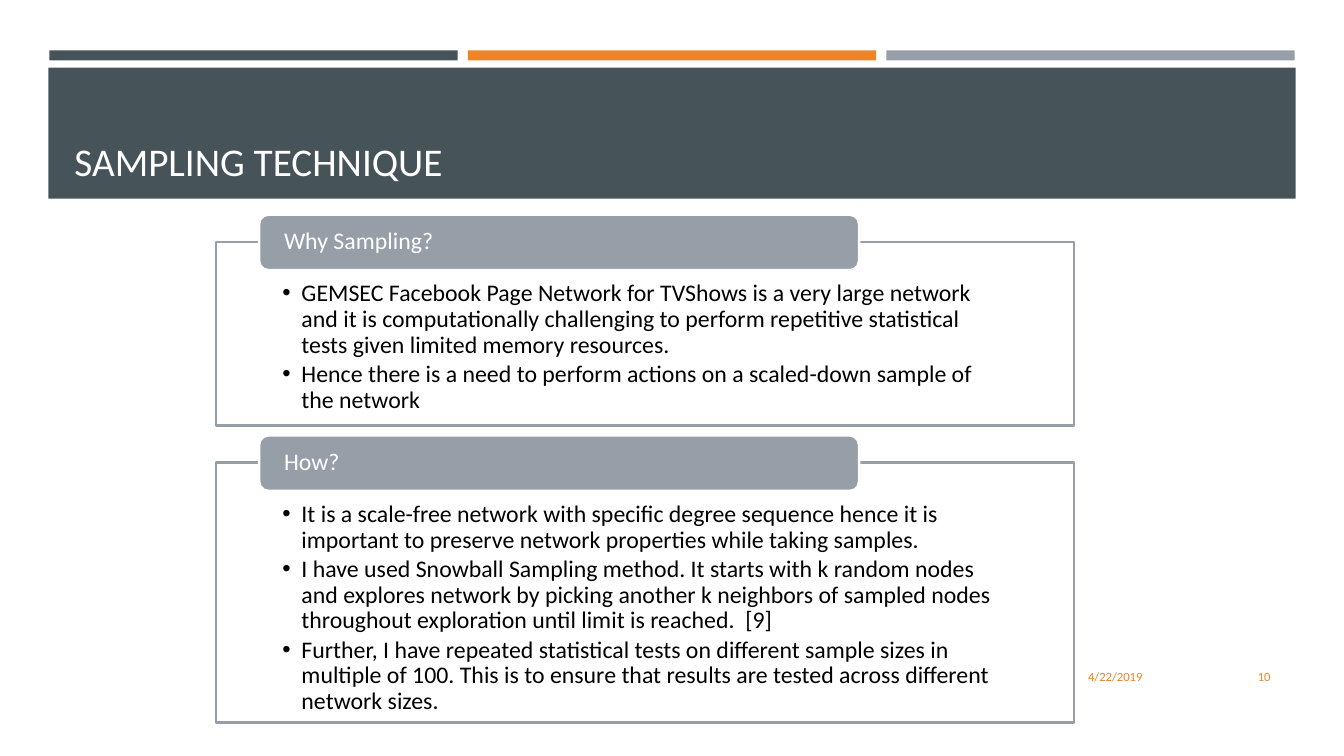
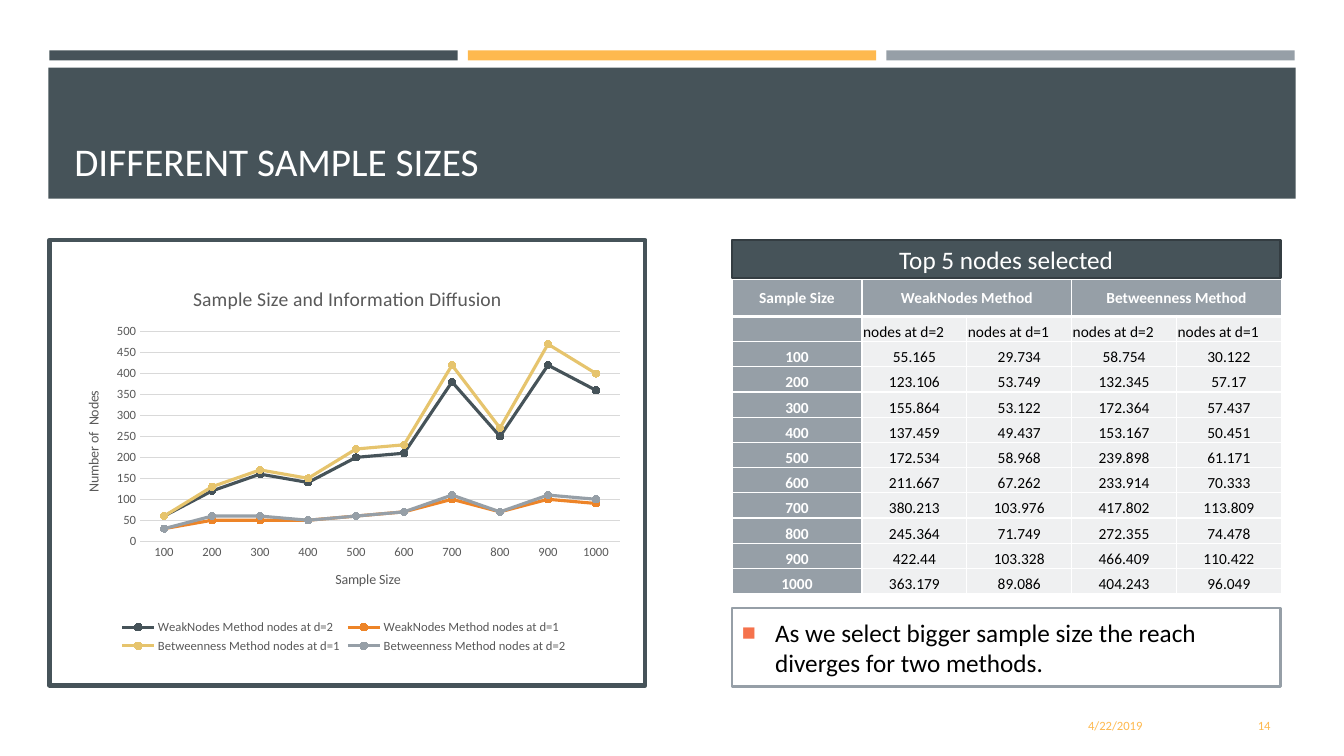
"""Build two slides on network sampling: a technique summary and a sample size comparison."""

import dataclasses
import typing

import lxml.etree
import pptx
import pptx.chart.data
import pptx.dml.color
import pptx.enum.chart
import pptx.enum.shapes
import pptx.enum.text
import pptx.oxml.ns
import pptx.util

EMU_PER_PX = 9144
FONT = "Calibri"
SLATE, ORANGE, AMBER, SAND, GREY = "465359", "ED8428", "FEB94F", "E6C46D", "969FA7"
WHITE, BLACK, PALE, TEXT_GREY, RULE_GREY = "FFFFFF", "000000", "EFF0F1", "595959", "D9D9D9"
DARK_SLATE, CORAL = "343D42", "F5724C"
DATE = "4/22/2019"

ALIGN = pptx.enum.text.PP_ALIGN
ANCHOR = pptx.enum.text.MSO_ANCHOR
SHAPE = pptx.enum.shapes.MSO_SHAPE
qn = pptx.oxml.ns.qn


class Bounds(typing.NamedTuple):
    left: int
    top: int
    width: int
    height: int


class Bullet(typing.NamedTuple):
    character: str
    indent: int
    color: str
    percent: int


@dataclasses.dataclass(frozen=True)
class TextStyle:
    size: float
    color: str
    align: typing.Any = ALIGN.LEFT
    anchor: typing.Any = ANCHOR.MIDDLE
    bold: bool = False
    insets: tuple[int, int, int, int] = (10, 5, 10, 5)
    line_spacing: float = 1.0
    space_after: float = 0
    bullet: Bullet | None = None


@dataclasses.dataclass(frozen=True)
class Section:
    top: int
    height: int
    heading: str
    points: tuple[str, ...]


class Line(typing.NamedTuple):
    name: str
    color: str
    values: tuple[int, ...]


class Row(typing.NamedTuple):
    sample_size: str
    values: tuple[float, float, float, float]


TITLE = TextStyle(28, WHITE, anchor=ANCHOR.BOTTOM)
HEADING = TextStyle(17, WHITE, insets=(22, 0, 22, 1), line_spacing=0.9)
POINTS = TextStyle(17, BLACK, anchor=ANCHOR.TOP, insets=(66, 39, 66, 13), line_spacing=0.9,
                   space_after=2.5, bullet=Bullet("•", 19, BLACK, 100))
TABLE_TITLE = TextStyle(18, WHITE, ALIGN.CENTER)
TAKEAWAY = TextStyle(18, BLACK, bullet=Bullet("■", 33, CORAL, 92))
CELL_INSETS = (1, 1, 1, 0)
CELL_HEAD = TextStyle(11, WHITE, ALIGN.CENTER, bold=True, insets=CELL_INSETS)
CELL_LABEL = dataclasses.replace(CELL_HEAD, anchor=ANCHOR.BOTTOM)
CELL_VALUE = dataclasses.replace(CELL_LABEL, color=BLACK, bold=False)
CELL_SUBHEAD = dataclasses.replace(CELL_VALUE, align=ALIGN.LEFT)

SECTIONS = (
    Section(240, 182, "Why Sampling?", (
        "GEMSEC Facebook Page Network for TVShows is a very large network and it is "
        "computationally challenging to perform repetitive statistical tests given limited "
        "memory resources.",
        "Hence there is a need to perform actions on a scaled-down sample of the network",
    )),
    Section(459, 258, "How?", (
        "It is a scale-free network with specific degree sequence hence it is important to "
        "preserve network properties while taking samples.",
        "I have used Snowball Sampling method. It starts with k random nodes and explores "
        "network by picking another k neighbors of sampled nodes throughout exploration "
        "until limit is reached.  [9]",
        "Further, I have repeated statistical tests on different sample sizes in multiple of "
        "100. This is to ensure that results are tested across different network sizes.",
    )),
)
ROWS = (
    Row("100", (55.165, 29.734, 58.754, 30.122)),
    Row("200", (123.106, 53.749, 132.345, 57.17)),
    Row("300", (155.864, 53.122, 172.364, 57.437)),
    Row("400", (137.459, 49.437, 153.167, 50.451)),
    Row("500", (172.534, 58.968, 239.898, 61.171)),
    Row("600", (211.667, 67.262, 233.914, 70.333)),
    Row("700", (380.213, 103.976, 417.802, 113.809)),
    Row("800", (245.364, 71.749, 272.355, 74.478)),
    Row("900", (422.44, 103.328, 466.409, 110.422)),
    Row("1000", (363.179, 89.086, 404.243, 96.049)),
)
LINES = (
    Line("WeakNodes Method nodes at d=2", SLATE,
         (60, 120, 160, 140, 200, 210, 380, 250, 420, 360)),
    Line("WeakNodes Method nodes at d=1", ORANGE,
         (30, 50, 50, 50, 60, 70, 100, 70, 100, 90)),
    Line("Betweenness Method nodes at d=1", SAND,
         (60, 130, 170, 150, 220, 230, 420, 270, 470, 400)),
    Line("Betweenness Method nodes at d=2", GREY,
         (30, 60, 60, 50, 60, 70, 110, 70, 110, 100)),
)


def px(length: int) -> pptx.util.Emu:
    """Turn px into EMU."""
    return pptx.util.Emu(length * EMU_PER_PX)


def rgb(value: str) -> pptx.dml.color.RGBColor:
    """Turn a hex string into a colour."""
    return pptx.dml.color.RGBColor.from_string(value)


def apply(target: typing.Any, values: dict[str, typing.Any]) -> None:
    """Set every attribute named in the dict."""
    for name, value in values.items():
        setattr(target, name, value)


def paint(fill: typing.Any, color: str) -> None:
    """Give a fill one solid colour."""
    fill.solid()
    fill.fore_color.rgb = rgb(color)


def stroke(line: typing.Any, color: str, width: float) -> None:
    """Give a line its colour and width in points."""
    paint(line.fill, color)
    line.width = pptx.util.Pt(width)


def set_font(font: typing.Any, size: float, color: str, bold: bool = False) -> None:
    """Set face, size, weight and colour of a font."""
    apply(font, {"name": FONT, "size": pptx.util.Pt(size), "bold": bold})
    font.color.rgb = rgb(color)


def add_bullet(paragraph: typing.Any, bullet: Bullet) -> None:
    """Give a paragraph a hanging bullet."""
    properties = paragraph._p.get_or_add_pPr()
    properties.set("marL", str(px(bullet.indent)))
    properties.set("indent", str(px(-bullet.indent)))
    color = lxml.etree.SubElement(properties, qn("a:buClr"))
    lxml.etree.SubElement(color, qn("a:srgbClr"), val=bullet.color)
    lxml.etree.SubElement(properties, qn("a:buSzPct"), val=str(bullet.percent * 1000))
    lxml.etree.SubElement(properties, qn("a:buFont"), typeface="Arial")
    lxml.etree.SubElement(properties, qn("a:buChar"), char=bullet.character)


def write(frame: typing.Any, texts: typing.Sequence[str], style: TextStyle) -> None:
    """Fill a text frame with one paragraph for each text."""
    for index, text in enumerate(texts):
        paragraph = frame.add_paragraph() if index else frame.paragraphs[0]
        if style.bullet:
            add_bullet(paragraph, style.bullet)
        apply(paragraph, {"alignment": style.align, "line_spacing": style.line_spacing,
                          "space_after": pptx.util.Pt(style.space_after)})
        if text:
            run = paragraph.add_run()
            run.text = text
            set_font(run.font, style.size, style.color, style.bold)
        else:
            lxml.etree.SubElement(paragraph._p, qn("a:endParaRPr"), sz=str(style.size * 100))


def margins(style: TextStyle) -> dict[str, pptx.util.Emu]:
    """Name the four insets of a style."""
    names = ("margin_left", "margin_top", "margin_right", "margin_bottom")
    return dict(zip(names, map(px, style.insets)))


def add_box(slide: typing.Any, bounds: Bounds, fill: str | None = None,
            line: tuple[str, float] | None = None, texts: typing.Sequence[str] = (),
            style: TextStyle = TITLE, kind: typing.Any = SHAPE.RECTANGLE) -> None:
    """Draw a shape, or a bare text box when there is no fill."""
    place = tuple(map(px, bounds))
    if fill:
        shape = slide.shapes.add_shape(kind, *place)
        shape.shadow.inherit = False
        paint(shape.fill, fill)
        if line:
            stroke(shape.line, *line)
        else:
            shape.line.fill.background()
    else:
        shape = slide.shapes.add_textbox(*place)
    if texts:
        apply(shape.text_frame, {"word_wrap": True, "vertical_anchor": style.anchor,
                                 **margins(style)})
        write(shape.text_frame, texts, style)


def add_slide(presentation: typing.Any, title: str, number: str, accent: str,
              footer_top: int) -> typing.Any:
    """Add a slide with its bands, title and footer."""
    slide = presentation.slides.add_slide(presentation.slide_layouts[6])
    for index, color in enumerate((SLATE, accent, GREY)):
        add_box(slide, Bounds(49 + 415 * index, 50, 405, 10), color)
    add_box(slide, Bounds(48, 67, 1237, 130), SLATE)
    add_box(slide, Bounds(64, 77, 1206, 111), texts=[title], style=TITLE)
    footer = TextStyle(9, accent, ALIGN.RIGHT)
    for left, width, text in ((832, 311, DATE), (1155, 115, number)):
        add_box(slide, Bounds(left, footer_top, width, 40), texts=[text], style=footer)
    return slide


def add_section(slide: typing.Any, section: Section) -> None:
    """Draw a framed list with its heading tab."""
    add_box(slide, Bounds(214, section.top, 851, section.height), WHITE, (GREY, 1.75),
            section.points, POINTS)
    add_box(slide, Bounds(257, section.top - 27, 595, 55), GREY, (WHITE, 1.75),
            [section.heading], HEADING, SHAPE.ROUNDED_RECTANGLE)


def place_part(element: typing.Any, index: int, chart_bounds: Bounds, **lengths: int) -> None:
    """Give a chart part a fixed place, in px from the chart's corner."""
    for old in element.findall(qn("c:layout")):
        element.remove(old)
    layout = lxml.etree.Element(qn("c:layout"))
    manual = lxml.etree.SubElement(layout, qn("c:manualLayout"))
    if index == 0:
        lxml.etree.SubElement(manual, qn("c:layoutTarget"), val="inner")
    for mode in ("xMode", "yMode"):
        lxml.etree.SubElement(manual, qn(f"c:{mode}"), val="edge")
    for name, length in lengths.items():
        whole = chart_bounds.width if name in "xw" else chart_bounds.height
        lxml.etree.SubElement(manual, qn(f"c:{name}"), val=str(length / whole))
    element.insert(index, layout)


def add_line_chart(slide: typing.Any, bounds: Bounds) -> None:
    """Draw the reach of both methods by sample size."""
    data = pptx.chart.data.CategoryChartData()
    data.categories = [row.sample_size for row in ROWS]
    for line in LINES:
        data.add_series(line.name, line.values)
    kind = pptx.enum.chart.XL_CHART_TYPE.LINE_MARKERS
    chart = slide.shapes.add_chart(kind, *map(px, bounds), data).chart
    set_font(chart.font, 9, TEXT_GREY)
    apply(chart, {"has_title": True, "has_legend": True})
    apply(chart.legend, {"position": pptx.enum.chart.XL_LEGEND_POSITION.BOTTOM,
                         "include_in_layout": False})
    set_font(chart.legend.font, 9, TEXT_GREY)
    chart.plots[0].vary_by_categories = False
    for series, line in zip(chart.plots[0].series, LINES):
        series.smooth = False
        stroke(series.format.line, line.color, 2.25)
        apply(series.marker, {"style": pptx.enum.chart.XL_MARKER_STYLE.CIRCLE, "size": 5})
        paint(series.marker.format.fill, line.color)
        stroke(series.marker.format.line, line.color, 0.75)
    category, value = chart.category_axis, chart.value_axis
    for axis in (category, value):
        apply(axis, {"major_tick_mark": pptx.enum.chart.XL_TICK_MARK.NONE, "has_title": True})
        set_font(axis.tick_labels.font, 9, TEXT_GREY)
    apply(value, {"minimum_scale": 0, "maximum_scale": 500, "major_unit": 50})
    stroke(category.format.line, RULE_GREY, 0.75)
    stroke(value.major_gridlines.format.line, RULE_GREY, 0.75)
    value.format.line.fill.background()
    for title, text, size, x, y in (
        (chart.chart_title, "Sample Size and Information Diffusion", 14, 125, 12),
        (category.axis_title, "Sample Size", 10, 267, 296),
        (value.axis_title, "Number of  Nodes", 10, 18, 118),
    ):
        write(title.text_frame, [text], TextStyle(size, TEXT_GREY, ALIGN.CENTER))
        place_part(title._element, 1, bounds, x=x, y=y)
    value.axis_title.text_frame._txBody.bodyPr.set("rot", "-5400000")
    place_part(chart._chartSpace.chart.plotArea, 0, bounds, x=76, y=62, w=476, h=208)
    place_part(chart.legend._element, 1, bounds, x=54, y=344, w=448, h=41)


def fill_cell(cell: typing.Any, text: str, style: TextStyle, fill: str, bottom: float) -> None:
    """Fill a table cell and give it white borders."""
    apply(cell, {"vertical_anchor": style.anchor, **margins(style)})
    write(cell.text_frame, [text], style)
    paint(cell.fill, fill)
    properties = cell._tc.get_or_add_tcPr()
    for index, (side, width) in enumerate((("L", 1), ("R", 1), ("T", 1), ("B", bottom))):
        border = lxml.etree.Element(qn(f"a:ln{side}"), w=str(pptx.util.Pt(width)))
        solid = lxml.etree.SubElement(border, qn("a:solidFill"))
        lxml.etree.SubElement(solid, qn("a:srgbClr"), val=WHITE)
        properties.insert(index, border)


def add_results_table(slide: typing.Any, bounds: Bounds) -> None:
    """Draw the table of mean reach for each sample size."""
    grid = [("Sample Size", "WeakNodes Method", "", "Betweenness Method", ""),
            ("", *("nodes at d=2", "nodes at d=1") * 2)]
    grid += [(row.sample_size, *map(str, row.values)) for row in ROWS]
    table = slide.shapes.add_table(len(grid), 5, *map(px, bounds)).table
    for index, column in enumerate(table.columns):
        column.width = px(104 if index else 129)
    for index, texts in enumerate(grid):
        table.rows[index].height = px(25 if index else 37)
        for position, text in enumerate(texts):
            label = index == 0 or position == 0
            body = CELL_SUBHEAD if index == 1 else CELL_VALUE
            style = CELL_HEAD if index == 0 else CELL_LABEL if position == 0 else body
            fill_cell(table.cell(index, position), text, style, GREY if label else PALE,
                      1 if index else 3)
    for position in (1, 3):
        table.cell(0, position).merge(table.cell(0, position + 1))


def main() -> None:
    """Build and save the presentation."""
    presentation = pptx.Presentation()
    apply(presentation, {"slide_width": px(1333), "slide_height": px(750)})
    technique = add_slide(presentation, "SAMPLING TECHNIQUE", "10", ORANGE, 651)
    for section in SECTIONS:
        add_section(technique, section)
    sizes = add_slide(presentation, "DIFFERENT SAMPLE SIZES", "14", AMBER, 700)
    add_box(sizes, Bounds(49, 238, 591, 442), WHITE, (SLATE, 3))
    add_line_chart(sizes, Bounds(63, 267, 562, 385))
    add_results_table(sizes, Bounds(726, 277, 545, 312))
    add_box(sizes, Bounds(726, 238, 544, 38), SLATE, (DARK_SLATE, 1.75),
            ["Top 5 nodes selected"], TABLE_TITLE)
    add_box(sizes, Bounds(726, 603, 544, 78), WHITE, (GREY, 1.75),
            ["As we select bigger sample size the reach diverges for two methods."], TAKEAWAY)
    presentation.save("out.pptx")


if __name__ == "__main__":
    main()
